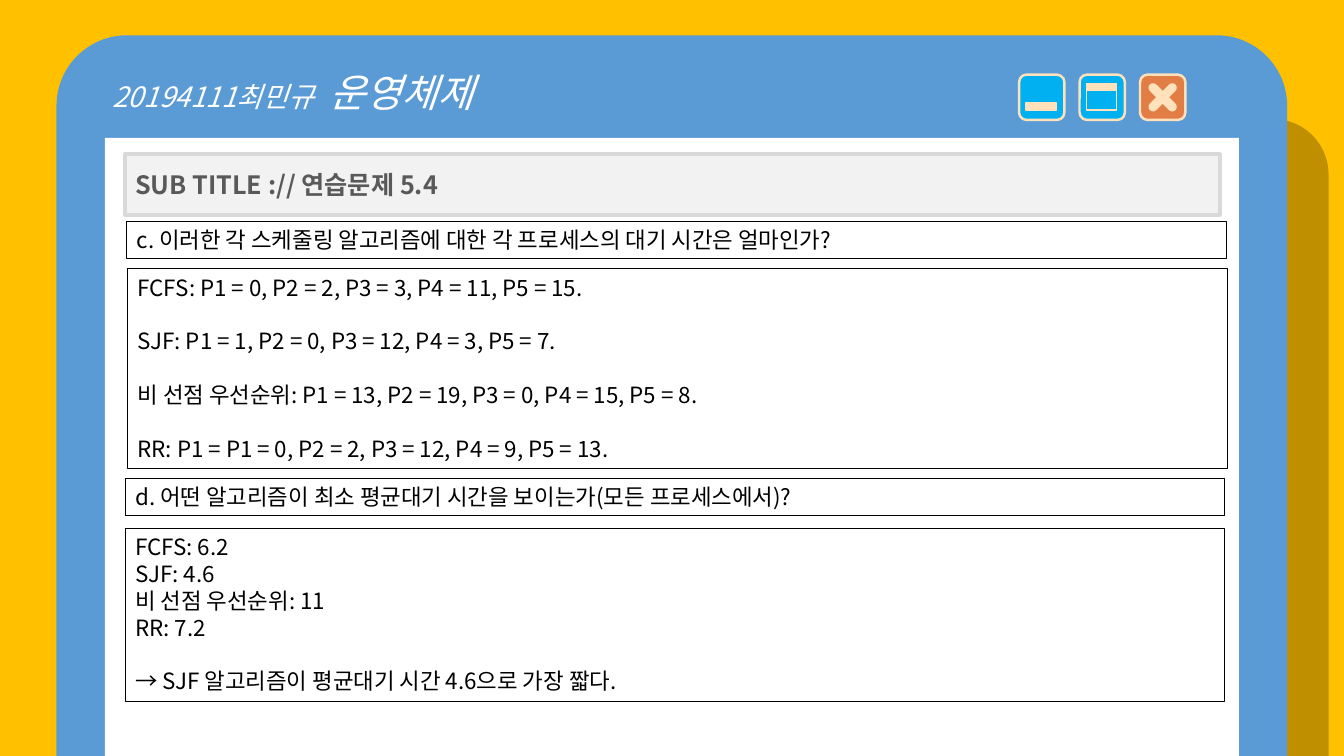
from dataclasses import dataclass

from lxml.etree import SubElement
from pptx import Presentation
from pptx.dml.color import RGBColor
from pptx.enum.shapes import MSO_SHAPE
from pptx.enum.text import MSO_ANCHOR, MSO_AUTO_SIZE, PP_ALIGN
from pptx.oxml.ns import qn
from pptx.util import Pt


@dataclass(frozen=True)
class Theme:
    font: str = "Noto Sans CJK KR"
    backdrop: str = "FFC000"
    window: str = "5B9BD5"
    white: str = "FFFFFF"
    black: str = "000000"
    button: str = "00B0F0"
    close_button: str = "E27D45"
    icon: str = "FFE1BB"
    title_fill: str = "F2F2F2"
    title_line: str = "D9D9D9"
    title_text: str = "595959"
    course_size: float = 28
    student_size: float = 20
    title_size: float = 18
    body_size: float = 16
    answer_gap: float = 19.2


THEME = Theme()
BUTTON_LEFT, BUTTON_TOP, BUTTON_SIZE, BUTTON_PITCH = 727.9, 53.3, 32.4, 43.2
ICON_INSET, ICON_WIDTH, BAR_HEIGHT = 5, 21.6, 5


def paint(shape, fill, line=None, line_width=1, alpha=None):
    """Set fill and outline; alpha is the fill's opacity in percent."""
    shape.fill.solid()
    shape.fill.fore_color.rgb = RGBColor.from_string(fill)
    if alpha is not None:
        color = shape.fill._xPr.find(qn("a:solidFill"))[0]
        SubElement(color, qn("a:alpha"), val=str(alpha * 1000))
    if line:
        shape.line.color.rgb = RGBColor.from_string(line)
        shape.line.width = Pt(line_width)
    else:
        shape.line.fill.background()


def add_block(slide, box, fill, kind=MSO_SHAPE.RECTANGLE, corner=None, **look):
    shape = slide.shapes.add_shape(kind, *map(Pt, box))
    shape.shadow.inherit = False
    if corner is not None:
        shape.adjustments[0] = corner
    paint(shape, fill, **look)
    return shape


def style_font(font, size, color, bold=False, italic=False):
    font.size = Pt(size)
    font.name = THEME.font
    SubElement(font._rPr, qn("a:ea"), typeface=THEME.font)
    font.bold = bold
    font.italic = italic
    font.color.rgb = RGBColor.from_string(color)


def add_window(slide):
    add_block(slide, (743.8, 85, 205.2, 455), THEME.black,
              MSO_SHAPE.ROUND_2_SAME_RECTANGLE, 0.193, alpha=25)
    header = add_block(slide, (40.3, 25.2, 879.1, 514.8), THEME.window,
                       MSO_SHAPE.ROUND_2_SAME_RECTANGLE, 0.098).text_frame
    header.vertical_anchor = MSO_ANCHOR.TOP
    header.margin_left, header.margin_top = Pt(25.2), Pt(8.6)
    line = header.paragraphs[0]
    line.alignment = PP_ALIGN.LEFT
    for text, size in (("20194111최민규 ", THEME.student_size),
                       (" 운영체제", THEME.course_size)):
        run = line.add_run()
        run.text = text
        style_font(run.font, size, THEME.white, italic=True)
    add_block(slide, (74.9, 98.6, 810, 441.4), THEME.white)


def add_button(slide, position, fill):
    """Draw one window button and return its left edge."""
    left = BUTTON_LEFT + position * BUTTON_PITCH
    add_block(slide, (left, BUTTON_TOP, BUTTON_SIZE, BUTTON_SIZE), fill,
              MSO_SHAPE.ROUNDED_RECTANGLE, line=THEME.icon, line_width=1.75)
    return left


def add_icon_bar(slide, button_left, offset, height=BAR_HEIGHT, fill=THEME.icon):
    add_block(slide, (button_left + ICON_INSET, BUTTON_TOP + offset, ICON_WIDTH, height),
              fill, line=THEME.icon)


def add_window_buttons(slide):
    minimize = add_button(slide, 0, THEME.button)
    add_icon_bar(slide, minimize, 20.2)

    maximize = add_button(slide, 1, THEME.button)
    add_icon_bar(slide, maximize, 11.5, 13.7, THEME.button)
    add_icon_bar(slide, maximize, 6.5)

    close = add_button(slide, 2, THEME.close_button)
    for angle in (45, 315):
        stroke = add_block(slide, (close + 12.95, BUTTON_TOP + 3.25, 6.5, 25.9),
                           THEME.icon, MSO_SHAPE.ROUNDED_RECTANGLE, 0.5)
        stroke.rotation = angle


def add_title(slide, text):
    title = slide.shapes.title
    slide.shapes._spTree.append(title._element)  # bring in front of the window
    title.left, title.top, title.width, title.height = map(Pt, (89.3, 110.2, 781.9, 43.2))
    paint(title, THEME.title_fill, THEME.title_line, 3)
    frame = title.text_frame
    frame.text = text
    frame.auto_size = MSO_AUTO_SIZE.NONE
    frame.vertical_anchor = MSO_ANCHOR.MIDDLE
    frame.paragraphs[0].alignment = PP_ALIGN.LEFT
    style_font(frame.paragraphs[0].font, THEME.title_size, THEME.title_text, bold=True)


def add_text_panel(slide, left, top, height, lines, gaps_before=()):
    """Draw an outlined panel; gaps_before lists the lines set apart by a gap."""
    frame = add_block(slide, (left, top, 785.5, height), THEME.white,
                      line=THEME.black, line_width=0.75, alpha=50).text_frame
    frame.vertical_anchor = MSO_ANCHOR.TOP
    frame.text = "\n".join(lines)
    for index, paragraph in enumerate(frame.paragraphs):
        paragraph.alignment = PP_ALIGN.LEFT
        if index in gaps_before:
            paragraph.space_before = Pt(THEME.answer_gap)
        style_font(paragraph.font, THEME.body_size, THEME.black)


def main():
    deck = Presentation()
    deck.slide_width, deck.slide_height = Pt(960), Pt(540)
    slide = deck.slides.add_slide(deck.slide_layouts[5])
    slide.background.fill.solid()
    slide.background.fill.fore_color.rgb = RGBColor.from_string(THEME.backdrop)

    add_window(slide)
    add_window_buttons(slide)
    add_title(slide, "SUB TITLE :// 연습문제 5.4")
    add_text_panel(slide, 90.5, 158.2, 26.7, [
        "c. 이러한 각 스케줄링 알고리즘에 대한 각 프로세스의 대기 시간은 얼마인가?",
    ])
    add_text_panel(slide, 91.2, 192, 143, [
        "FCFS: P1 = 0, P2 = 2, P3 = 3, P4 = 11, P5 = 15.",
        "SJF: P1 = 1, P2 = 0, P3 = 12, P4 = 3, P5 = 7.",
        "비 선점 우선순위: P1 = 13, P2 = 19, P3 = 0, P4 = 15, P5 = 8.",
        "RR: P1 = P1 = 0, P2 = 2, P3 = 12, P4 = 9, P5 = 13.",
    ], gaps_before=(1, 2, 3))
    add_text_panel(slide, 89.5, 341.6, 26.7, [
        "d. 어떤 알고리즘이 최소 평균대기 시간을 보이는가(모든 프로세스에서)?",
    ])
    add_text_panel(slide, 89.5, 377.3, 123.7, [
        "FCFS: 6.2",
        "SJF: 4.6",
        "비 선점 우선순위: 11",
        "RR: 7.2",
        "→ SJF 알고리즘이 평균대기 시간 4.6으로 가장 짧다.",
    ], gaps_before=(4,))
    deck.save("out.pptx")


if __name__ == "__main__":
    main()
